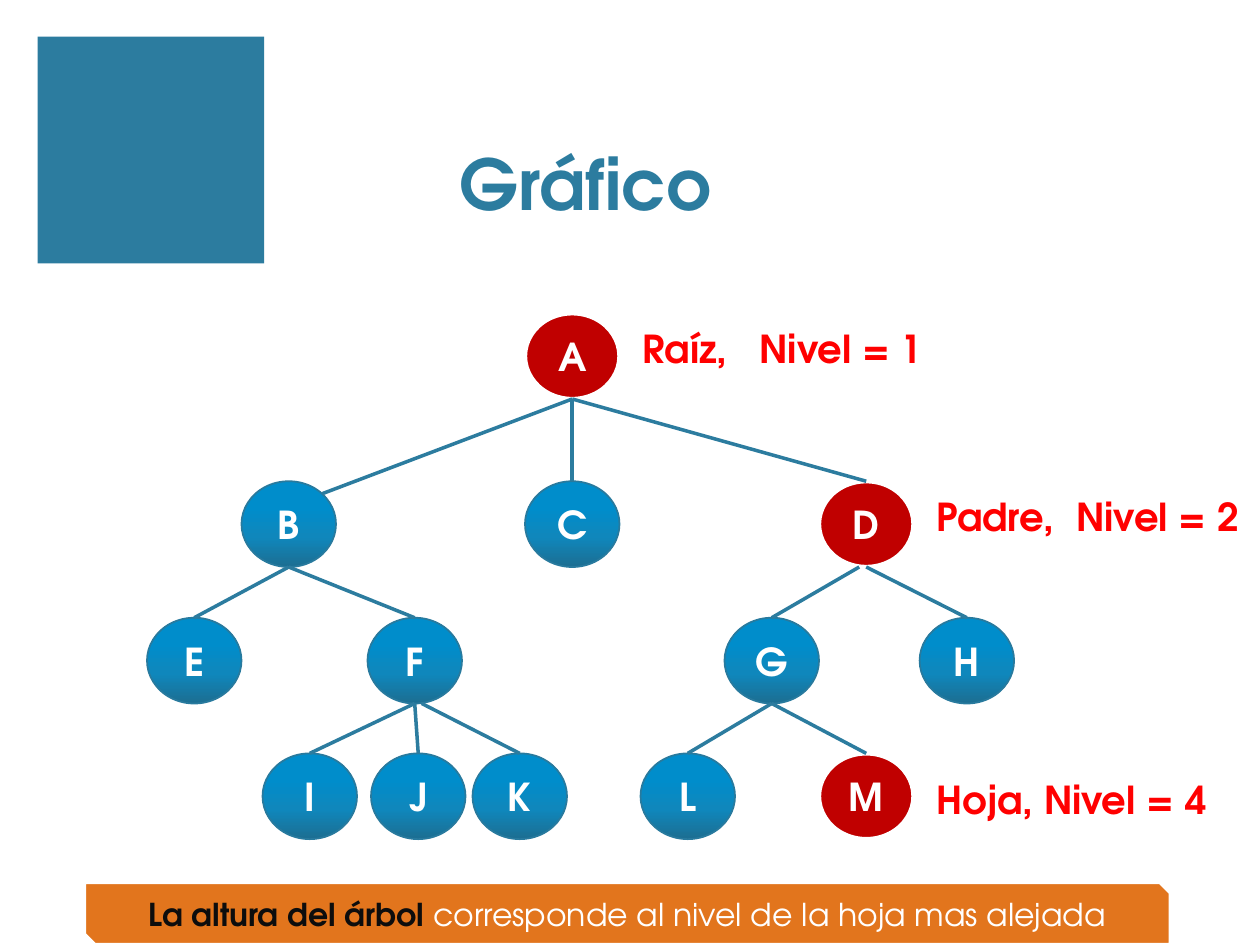
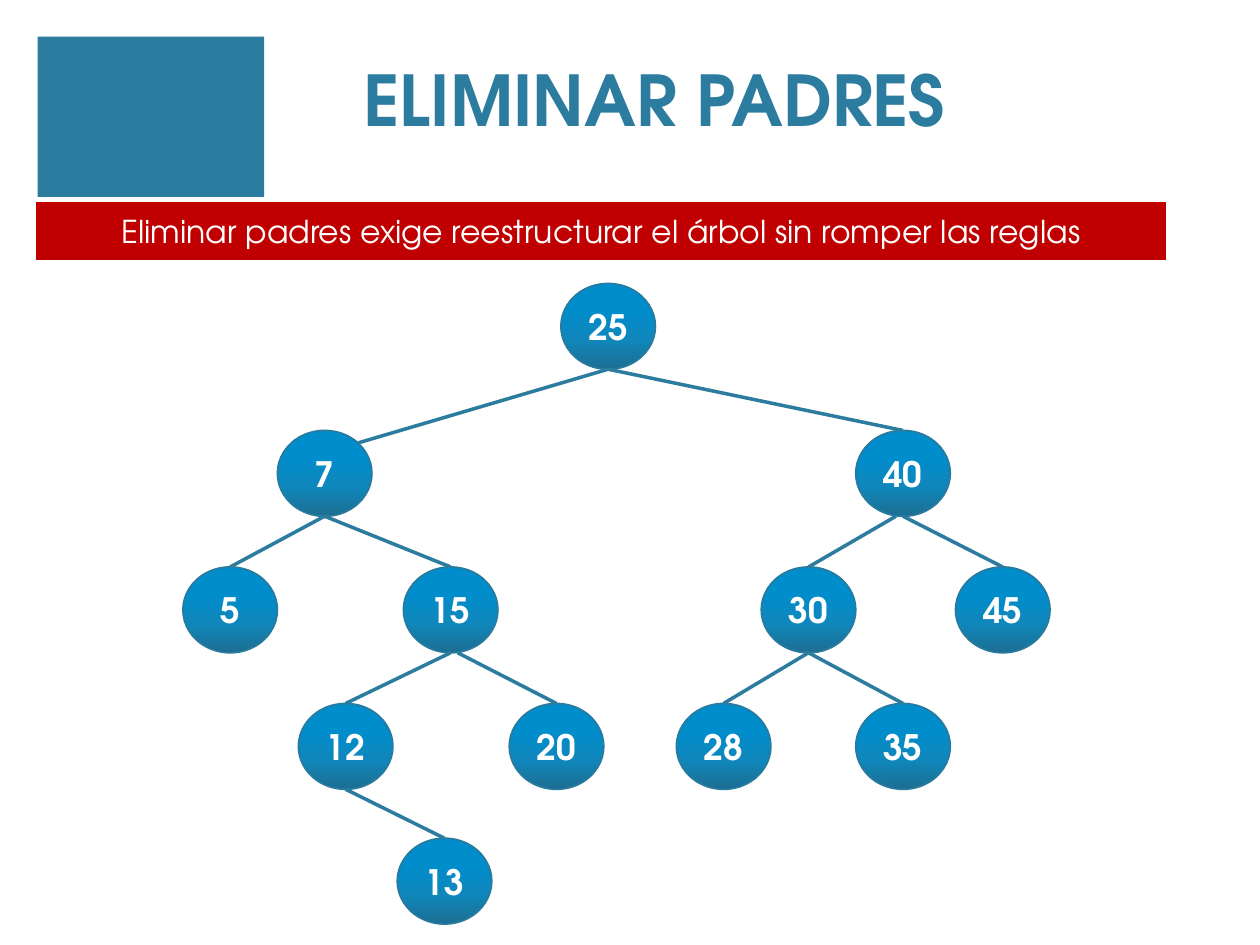
from dataclasses import dataclass

from lxml import etree
from pptx import Presentation
from pptx.dml.color import RGBColor
from pptx.enum.shapes import MSO_CONNECTOR, MSO_SHAPE
from pptx.enum.text import MSO_ANCHOR, MSO_AUTO_SIZE, PP_ALIGN
from pptx.oxml.ns import qn
from pptx.util import Pt

ELLIPSE, RECTANGLE = MSO_SHAPE.OVAL, MSO_SHAPE.RECTANGLE
SNIPPED = MSO_SHAPE.SNIP_2_DIAG_RECTANGLE
STRAIGHT = MSO_CONNECTOR.STRAIGHT
CENTER, LEFT = PP_ALIGN.CENTER, PP_ALIGN.LEFT
MIDDLE, BOTTOM, TOP = MSO_ANCHOR.MIDDLE, MSO_ANCHOR.BOTTOM, MSO_ANCHOR.TOP
TITLE_ONLY = 5
NODE_WIDTH, NODE_HEIGHT = 54, 49
DIAGONAL = 0.71


@dataclass(frozen=True)
class Theme:
    font: str = "TeX Gyre Adventor"
    accent: str = "2C7C9F"
    node_line: str = "287A9E"
    red: str = "C00000"
    label: str = "FF0000"
    orange: str = "E2751D"
    white: str = "FFFFFF"
    ink: str = "0D0D0D"
    gradient: tuple = ((0, "1C6E92"), (35, "0F87BC"), (70, "008DCB"), (100, "008DCB"))
    title_size: int = 40
    letter_size: int = 22
    number_size: int = 20
    banner_size: int = 18


@dataclass(frozen=True)
class Span:
    text: str
    color: str
    bold: bool = True
    spacing: int = 0


@dataclass(frozen=True)
class Edge:
    """Runs from a parent's foot, moved by shift, to a child's top or upper right."""
    parent: str
    child: str
    shift: int = 0
    to_corner: bool = False


class TreeDeck:
    def __init__(self, theme):
        self.theme = theme
        self.deck = Presentation()
        self.deck.slide_width, self.deck.slide_height = Pt(720), Pt(540)
        self.slide = None

    def new_slide(self, title, box):
        self.slide = self.deck.slides.add_slide(self.deck.slide_layouts[TITLE_ONLY])
        self.shape(RECTANGLE, (21.5, 21, 129.5, 129.5), self.theme.accent)
        holder = self.slide.shapes.title
        holder.left, holder.top, holder.width, holder.height = map(Pt, box)
        self.set_spans(holder, [Span(title, self.theme.accent)],
                       self.theme.title_size, CENTER, BOTTOM)

    def set_spans(self, shape, spans, size, align, anchor):
        frame = shape.text_frame
        frame.word_wrap = True
        frame.auto_size = MSO_AUTO_SIZE.NONE
        frame.vertical_anchor = anchor
        para = frame.paragraphs[0]
        para.alignment = align
        for span in spans:
            run = para.add_run()
            run.text = span.text
            run.font.name = self.theme.font
            run.font.size = Pt(size)
            run.font.bold = span.bold
            run.font.color.rgb = RGBColor.from_string(span.color)
            if span.spacing:
                run.font._element.set("spc", str(span.spacing * 100))

    def shape(self, kind, box, fill, line=None, line_width=0):
        shape = self.slide.shapes.add_shape(kind, *map(Pt, box))
        shape.shadow.inherit = False
        if isinstance(fill, str):
            shape.fill.solid()
            shape.fill.fore_color.rgb = RGBColor.from_string(fill)
        else:
            self.fill_gradient(shape, fill)
        if line:
            shape.line.color.rgb = RGBColor.from_string(line)
            shape.line.width = Pt(line_width)
        else:
            shape.line.fill.background()
        return shape

    def fill_gradient(self, shape, stops):
        shape.fill.gradient()
        shape.fill.gradient_angle = 90
        stop_list = shape._element.spPr.find(".//" + qn("a:gsLst"))
        for stop in list(stop_list):
            stop_list.remove(stop)
        for percent, color in stops:
            stop = etree.SubElement(stop_list, qn("a:gs"), pos=str(percent * 1000))
            etree.SubElement(stop, qn("a:srgbClr"), val=color)

    def node(self, name, left, top, size, highlighted):
        theme = self.theme
        style = ((theme.red, theme.white, 2.5) if highlighted
                 else (theme.gradient, theme.node_line, 1))
        shape = self.shape(ELLIPSE, (left, top, NODE_WIDTH, NODE_HEIGHT), *style)
        shape.text_frame.margin_left = shape.text_frame.margin_right = 0
        self.set_spans(shape, [Span(name, theme.white)], size, CENTER, MIDDLE)

    def edge(self, start, end):
        line = self.slide.shapes.add_connector(STRAIGHT, *map(Pt, (*start, *end)))
        line.line.color.rgb = RGBColor.from_string(self.theme.accent)
        line.line.width = Pt(2)
        etree.SubElement(line._element.spPr, qn("a:effectLst"))

    def tree(self, levels, edges, size, highlighted=""):
        """Draws levels, given as {top: {name: left}}, and the edges between nodes."""
        places = {name: (left, top) for top, row in levels.items()
                  for name, left in row.items()}
        for name, (left, top) in places.items():
            self.node(name, left, top, size, name in highlighted)
        half_width, half_height = NODE_WIDTH / 2, NODE_HEIGHT / 2
        for edge in edges:
            left, top = places[edge.parent]
            start = (left + half_width + edge.shift, top + NODE_HEIGHT)
            left, top = places[edge.child]
            end = (left + half_width, top)
            if edge.to_corner:
                end = (left + half_width * (1 + DIAGONAL),
                       top + half_height * (1 - DIAGONAL))
            self.edge(start, end)

    def label(self, role, level, gap, box):
        """Sets role and level, with gap points added to the space between them."""
        text_box = self.slide.shapes.add_textbox(*map(Pt, box))
        color = self.theme.label
        spans = [Span(role, color), Span(" ", color, spacing=gap), Span(level, color)]
        self.set_spans(text_box, spans, self.theme.letter_size, LEFT, TOP)

    def banner(self, kind, box, fill, spans):
        shape = self.shape(kind, box, fill, self.theme.white, 2.5)
        self.set_spans(shape, spans, self.theme.banner_size, CENTER, MIDDLE)


def add_parts_slide(deck):
    theme = deck.theme
    deck.new_slide("Gráfico", (78, 42, 513, 90))
    levels = {
        179: {"A": 300},
        275: {"B": 138, "C": 300, "D": 468},
        353: {"E": 84, "F": 210, "G": 414, "H": 525.5},
        430.5: {"I": 150, "J": 212, "K": 270, "L": 366, "M": 468},
    }
    edges = [
        Edge("A", "B", to_corner=True), Edge("A", "C"), Edge("A", "D"),
        Edge("B", "E"), Edge("B", "F"),
        Edge("D", "G", shift=-4), Edge("D", "H"),
        Edge("F", "I"), Edge("F", "J"), Edge("F", "K", shift=4),
        Edge("G", "L"), Edge("G", "M"),
    ]
    deck.tree(levels, edges, theme.letter_size, highlighted="ADM")
    deck.label("Raíz,", "Nivel = 1", 12, (360, 182, 220, 34))
    deck.label("Padre,", "Nivel = 2", 6, (528, 278, 192, 34))
    deck.label("Hoja,", "Nivel = 4", 0, (528, 440, 192, 34))
    deck.banner(SNIPPED, (48, 504, 621, 36), theme.orange, [
        Span("La altura del árbol", theme.ink),
        Span(" corresponde al nivel de la hoja mas alejada", theme.white, bold=False),
    ])


def add_removal_slide(deck):
    theme = deck.theme
    deck.new_slide("ELIMINAR PADRES", (117.5, 30, 513, 54))
    levels = {
        162: {"25": 320.5},
        246: {"7": 158.5, "40": 489},
        324: {"5": 104.5, "15": 230.5, "30": 435, "45": 546},
        402: {"12": 170.5, "20": 291, "28": 386.5, "35": 489},
        479: {"13": 227},
    }
    edges = [
        Edge("25", "7", to_corner=True), Edge("25", "40"),
        Edge("7", "5"), Edge("7", "15"),
        Edge("40", "30", shift=-4), Edge("40", "45"),
        Edge("15", "12"), Edge("15", "20", shift=4),
        Edge("30", "28"), Edge("30", "35"),
        Edge("12", "13"),
    ]
    deck.tree(levels, edges, theme.number_size)
    deck.banner(RECTANGLE, (19.5, 114, 648, 36), theme.red, [
        Span("Eliminar padres exige reestructurar el árbol sin romper las reglas",
             theme.white, bold=False),
    ])


def main():
    tree_deck = TreeDeck(Theme())
    add_parts_slide(tree_deck)
    add_removal_slide(tree_deck)
    tree_deck.deck.save("out.pptx")


if __name__ == "__main__":
    main()
